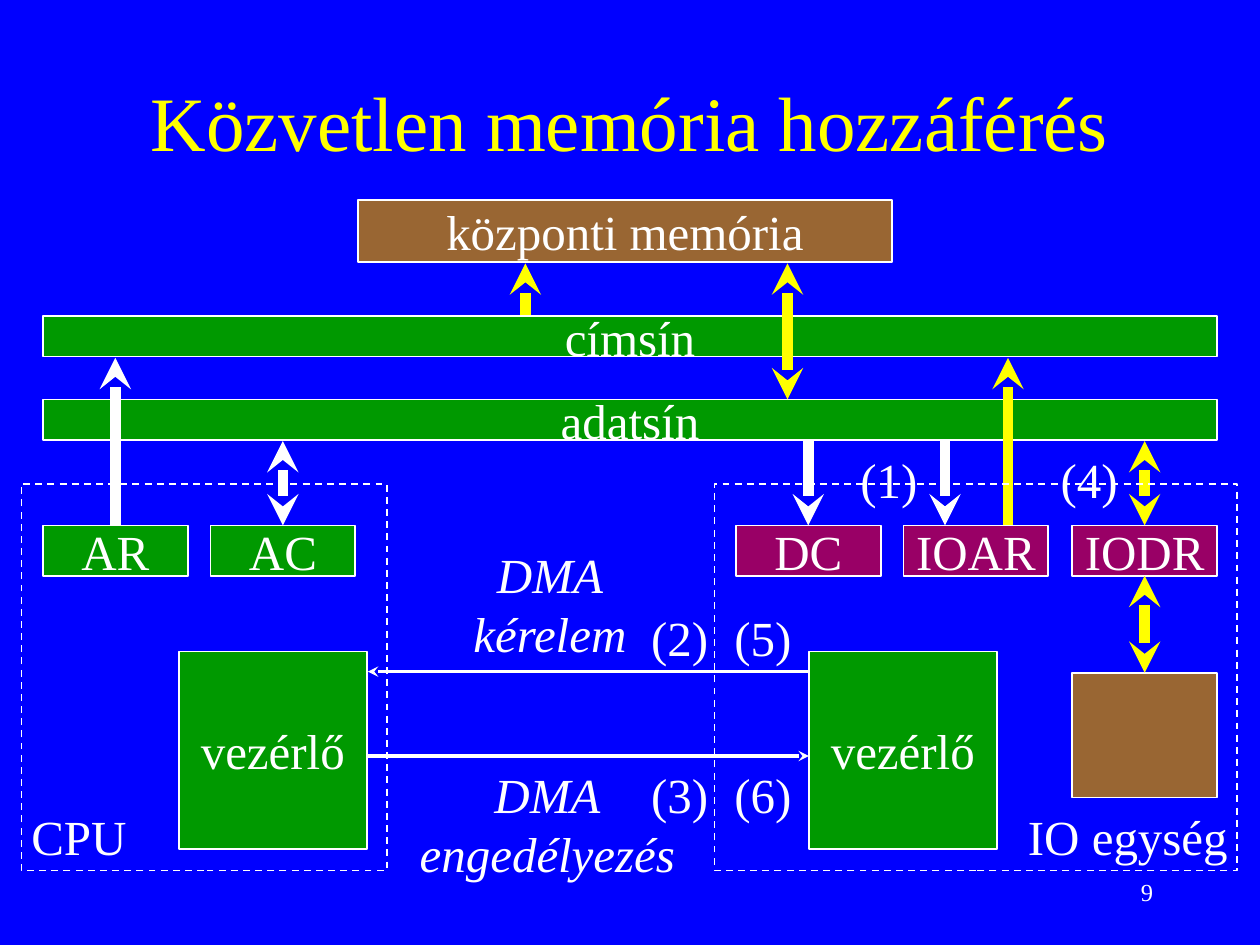
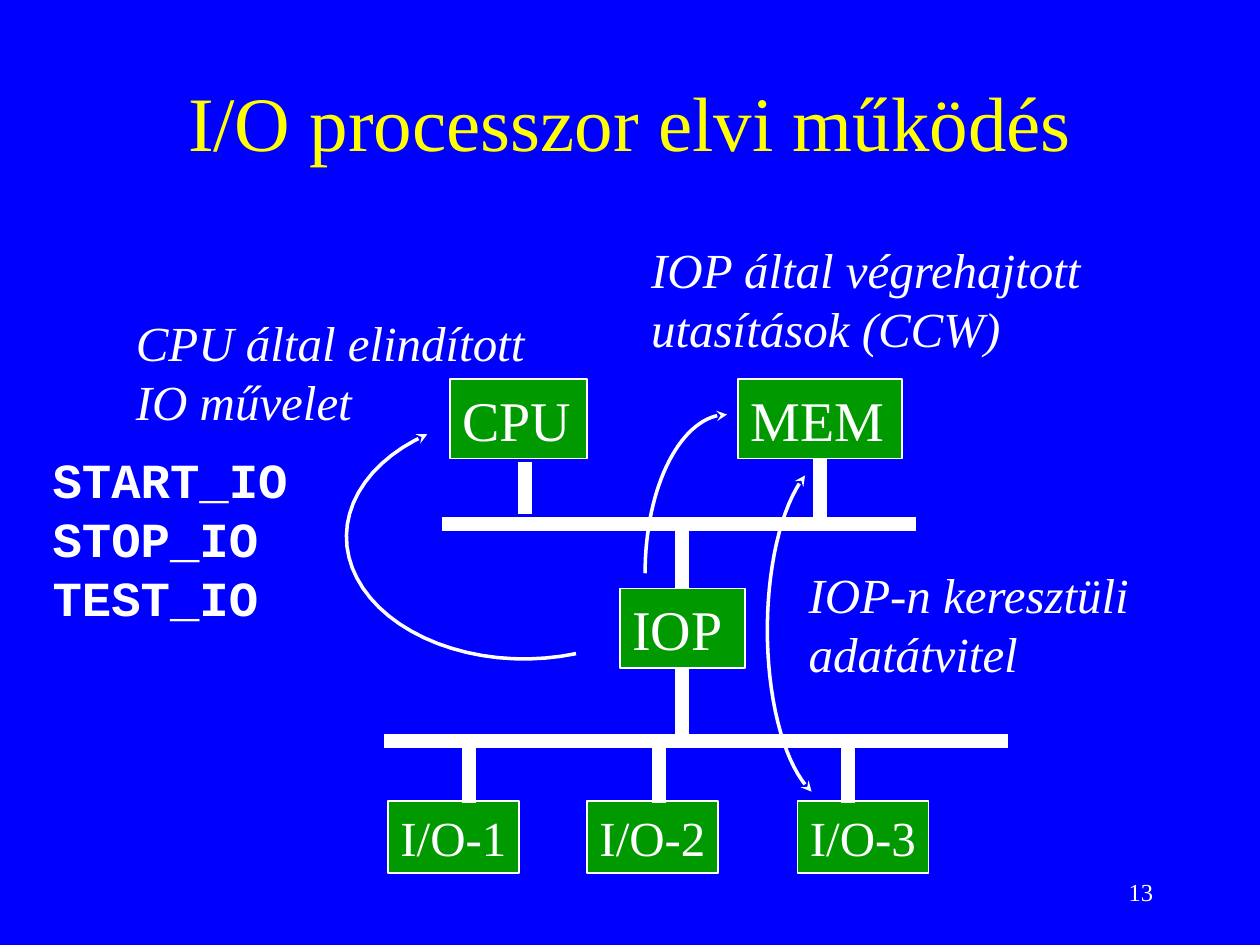
"""Two lecture slides on direct memory access and the I/O processor."""
from math import cos, radians, sin

from lxml import etree
from pptx import Presentation
from pptx.dml.color import RGBColor
from pptx.enum.dml import MSO_LINE
from pptx.enum.shapes import MSO_CONNECTOR, MSO_SHAPE
from pptx.enum.text import MSO_ANCHOR, MSO_AUTO_SIZE, PP_ALIGN
from pptx.oxml.ns import qn
from pptx.util import Inches, Pt

RECTANGLE, STRAIGHT, DASH = MSO_SHAPE.RECTANGLE, MSO_CONNECTOR.STRAIGHT, MSO_LINE.DASH
LEFT, CENTER, RIGHT = PP_ALIGN.LEFT, PP_ALIGN.CENTER, PP_ALIGN.RIGHT
TOP, MIDDLE = MSO_ANCHOR.TOP, MSO_ANCHOR.MIDDLE
FIT, NO_FIT = MSO_AUTO_SIZE.SHAPE_TO_FIT_TEXT, MSO_AUTO_SIZE.NONE
SITE_TOP, SITE_BOTTOM = 0, 2

COLORS = {"blue": "0000FF", "yellow": "FFFF00", "white": "FFFFFF",
          "green": "009900", "purple": "990066", "brown": "996633"}
SERIF, MONO = "Times New Roman", "Courier New"
TITLE_AREA = (0.75, 0.33, 8.5, 1.25)
NUMBER_AREA = (7.17, 6.83, 2.08, 0.5)

DMA_TITLE, DMA_NUMBER = "Közvetlen memória hozzáférés", "9"
REGISTER_TOP, REGISTER_SIZE = 4.17, (1.15, 0.4)
REGISTERS = [("AR", 0.34, "green"), ("AC", 1.67, "green"), ("DC", 5.84, "purple"),
             ("IOAR", 7.17, "purple"), ("IODR", 8.51, "purple")]
BUSES = [("címsín", 2.51), ("adatsín", 3.17)]
MEMORY = ("központi memória", (2.84, 1.59, 4.24, 0.49))
CONTROLLER, CONTROLLER_LEFTS = "vezérlő", (1.42, 6.42)
DEVICE_AREA = (8.51, 5.34, 1.15, 0.99)
UNIT_FRAMES = [(0.17, 3.84, 2.9, 3.07), (5.67, 3.84, 4.15, 3.07)]
UNIT_NAMES = [("CPU", (0.15, 6.35, 0.96, 0.57)), ("IO egység", (8.06, 6.35, 1.79, 0.57))]
SIGNALS = [("DMA\nkérelem", (3.65, 4.27, 1.43, 1.04)),
           ("DMA\nengedélyezés", (3.23, 6.02, 2.23, 1.04))]
STEPS = [("(1)", 6.73, 3.52), ("(2)", 5.07, 4.77), ("(3)", 5.07, 6.02),
         ("(4)", 8.32, 3.52), ("(5)", 5.73, 4.77), ("(6)", 5.73, 6.02)]
DMA_ARROWS = [
    ((4.17, 2.5), (4.17, 2.09), "yellow", 6, "to"),
    ((6.25, 2.09), (6.25, 3.17), "yellow", 6, "both"),
    (("AR", SITE_TOP), 2.84, "white", 6, "to"),
    (("AC", SITE_TOP), 3.5, "white", 6, "both"),
    (("DC", SITE_TOP), 3.5, "white", 6, "from"),
    (("IODR", SITE_TOP), 3.5, "yellow", 6, "both"),
    ((7.5, 4.17), (7.5, 3.5), "white", 6, "from"),
    ((8, 4.17), (8, 2.84), "yellow", 6, "to"),
    (("IODR", SITE_BOTTOM), ("device", SITE_TOP), "yellow", 6, "both"),
    ((6.42, 5.33), (2.92, 5.33), "white", 2, "to"),
    ((2.92, 6), (6.42, 6), "white", 2, "to"),
]

IOP_TITLE, IOP_NUMBER = "I/O processzor elvi működés", "13"
UNITS = [("CPU", (3.57, 3.01, 1.09, 0.63), 32), ("MEM", (5.86, 3.01, 1.3, 0.63), 32),
         ("IOP", (4.92, 4.67, 0.99, 0.63), 32), ("I/O-1", (3.08, 6.36, 1.04, 0.57), 28),
         ("I/O-2", (4.66, 6.36, 1.04, 0.57), 28), ("I/O-3", (6.33, 6.36, 1.04, 0.57), 28)]
SYSTEM_BUS, IO_BUS = 4.16, 5.88
BUS_LINES = [
    ((3.51, SYSTEM_BUS), (7.27, SYSTEM_BUS)),
    ((3.05, IO_BUS), (8, IO_BUS)),
    ((4.17, 3.67), (4.17, 4.08)),
    (("MEM", SITE_BOTTOM), SYSTEM_BUS),
    (("IOP", SITE_TOP), SYSTEM_BUS),
    (("IOP", SITE_BOTTOM), IO_BUS),
] + [((x, IO_BUS), (x, 6.37)) for x in (3.72, 5.23, 6.73)]
TRANSFERS = [((4.16, 4.26), (1.41, 0.97), (73, 237), "to"),
             ((5.77, 4.55), (0.65, 1.26), (180, 270), "to"),
             ((6.63, 5), (0.54, 1.37), (110.5, 243.5), "both")]
REMARKS = [("CPU által elindított\nIO művelet", (0.98, 2.43, 3.29, 1.04)),
           ("IOP által végrehajtott\nutasítások (CCW)", (5.07, 1.85, 3.63, 1.04)),
           ("IOP-n keresztüli\nadatátvitel", (6.32, 4.43, 2.76, 1.04))]
COMMANDS = ("START_IO\nSTOP_IO\nTEST_IO", (0.32, 3.52, 2.07, 1.5))


def rgb(color):
    return RGBColor.from_string(COLORS[color])


def write(shape, text, size=28, color="white", align=CENTER, anchor=MIDDLE,
          font=SERIF, bold=False, italic=False, wrap=False, fit=NO_FIT):
    frame = shape.text_frame
    frame.word_wrap, frame.auto_size, frame.vertical_anchor = wrap, fit, anchor
    for i, line in enumerate(text.split("\n")):
        paragraph = frame.add_paragraph() if i else frame.paragraphs[0]
        paragraph.alignment = align
        run = paragraph.add_run()
        run.text = line
        run.font.name, run.font.size = font, Pt(size)
        run.font.bold, run.font.italic = bold, italic
        run.font.color.rgb = rgb(color)


def add_label(slide, text, area, **style):
    label = slide.shapes.add_textbox(*map(Inches, area))
    write(label, text, **{"align": LEFT, "anchor": TOP, "fit": FIT, **style})


def add_box(slide, area, fill=None, text="", **style):
    box = slide.shapes.add_shape(RECTANGLE, *map(Inches, area))
    box.shadow.inherit = False
    box.line.color.rgb, box.line.width = rgb("white"), Pt(1)
    if fill:
        box.fill.solid()
        box.fill.fore_color.rgb = rgb(fill)
    else:
        box.fill.background()
        box.line.dash_style = DASH
    if text:
        write(box, text, **style)
    return box


def style_line(shape, color, width, heads):
    shape.line.color.rgb, shape.line.width = rgb(color), Pt(width)
    outline = shape.line._get_or_add_ln()
    for tag, end in (("a:headEnd", "from"), ("a:tailEnd", "to")):
        if heads in (end, "both"):
            etree.SubElement(outline, qn(tag), type="stealth")


def add_line(slide, boxes, start, end, color="white", width=8, heads=""):
    """Draw a line between points or (box, site) pairs; a bare number is a height below or above the start."""
    line = slide.shapes.add_connector(STRAIGHT, 0, 0, 0, 0)
    if start[0] in boxes:
        line.begin_connect(boxes[start[0]], start[1])
    else:
        line.begin_x, line.begin_y = map(Inches, start)
    if not isinstance(end, tuple):
        line.end_x, line.end_y = line.begin_x, Inches(end)
    elif end[0] in boxes:
        line.end_connect(boxes[end[0]], end[1])
    else:
        line.end_x, line.end_y = map(Inches, end)
    style_line(line, color, width, heads)
    etree.SubElement(line._element.spPr, qn("a:effectLst"))


def add_arc(slide, center, radii, angles, heads, steps=32):
    first, last = angles
    turns = [radians(first + (last - first) * i / steps) for i in range(steps + 1)]
    points = [(Inches(center[0] + radii[0] * cos(t)), Inches(center[1] + radii[1] * sin(t)))
              for t in turns]
    builder = slide.shapes.build_freeform(*points[0])
    builder.add_line_segments(points[1:], close=False)
    arc = builder.convert_to_shape()
    arc.shadow.inherit = False
    arc.fill.background()
    style_line(arc, "white", 2, heads)


def add_slide(prs, title, number):
    slide = prs.slides.add_slide(prs.slide_layouts[6])
    add_label(slide, title, TITLE_AREA, size=44, color="yellow", align=CENTER,
              anchor=MIDDLE, wrap=True, fit=NO_FIT)
    add_label(slide, number, NUMBER_AREA, size=14, align=RIGHT,
              anchor=MIDDLE, wrap=True, fit=NO_FIT)
    return slide


def build_dma(prs):
    slide = add_slide(prs, DMA_TITLE, DMA_NUMBER)
    boxes = {name: add_box(slide, (left, REGISTER_TOP, *REGISTER_SIZE), fill, name)
             for name, left, fill in REGISTERS}
    for name, top in BUSES:
        add_box(slide, (0.34, top, 9.32, 0.32), "green", name)
    name, area = MEMORY
    add_box(slide, area, "brown", name)
    for left in CONTROLLER_LEFTS:
        add_box(slide, (left, 5.17, 1.49, 1.57), "green", CONTROLLER)
    boxes["device"] = add_box(slide, DEVICE_AREA, "brown")
    for arrow in DMA_ARROWS:
        add_line(slide, boxes, *arrow)
    for area in UNIT_FRAMES:
        add_box(slide, area)
    for name, area in UNIT_NAMES:
        add_label(slide, name, area)
    for signal, area in SIGNALS:
        add_label(slide, signal, area, align=CENTER, italic=True)
    for step, left, top in STEPS:
        add_label(slide, step, (left, top, 0.66, 0.57))


def build_iop(prs):
    slide = add_slide(prs, IOP_TITLE, IOP_NUMBER)
    boxes = {name: add_box(slide, area, "green", name, size=size, align=LEFT,
                           anchor=TOP, fit=FIT)
             for name, area, size in UNITS}
    for start, end in BUS_LINES:
        add_line(slide, boxes, start, end)
    for transfer in TRANSFERS:
        add_arc(slide, *transfer)
    for remark, area in REMARKS:
        add_label(slide, remark, area, italic=True)
    commands, area = COMMANDS
    add_label(slide, commands, area, font=MONO, bold=True)


def main():
    prs = Presentation()
    prs.slide_width, prs.slide_height = Inches(10), Inches(7.5)
    background = prs.slide_master.background.fill
    background.solid()
    background.fore_color.rgb = rgb("blue")
    build_dma(prs)
    build_iop(prs)
    prs.save("out.pptx")


if __name__ == "__main__":
    main()
